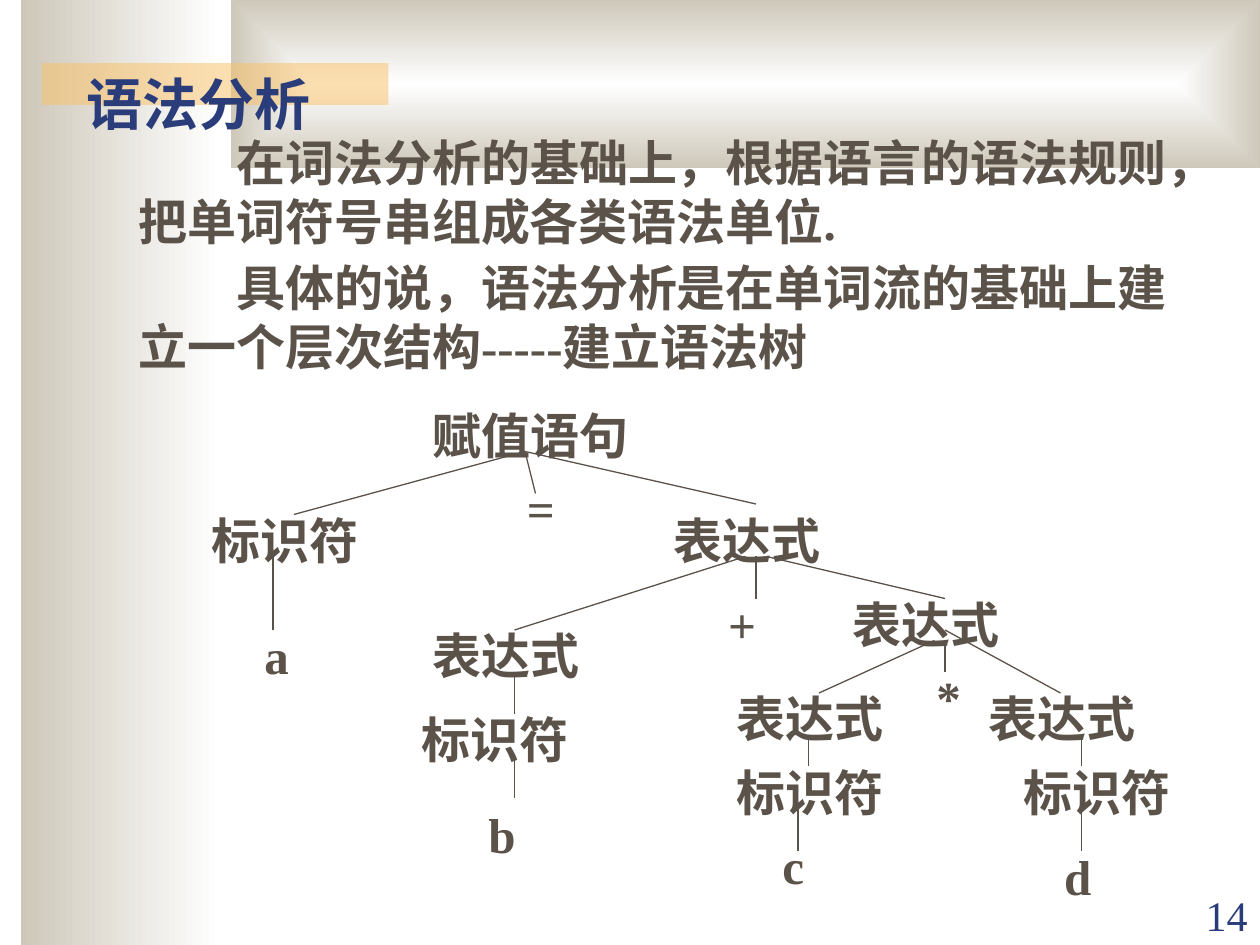
"""Build a slide on syntax analysis with the parse tree of an assignment."""
from lxml.etree import SubElement
from pptx import Presentation
from pptx.dml.color import RGBColor
from pptx.enum.shapes import MSO_CONNECTOR, MSO_SHAPE
from pptx.enum.text import MSO_ANCHOR, MSO_AUTO_SIZE, PP_ALIGN
from pptx.oxml.ns import qn
from pptx.util import Pt

WHITE = RGBColor(0xFF, 0xFF, 0xFF)
BEIGE = RGBColor(0xCE, 0xC8, 0xBA)
AMBER = RGBColor(0xFA, 0xC1, 0x64)
NAVY = RGBColor(0x2A, 0x3D, 0x7A)
BROWN = RGBColor(0x5B, 0x52, 0x49)
FONT = "Times New Roman"
LABEL_HEIGHT = 41

TITLE = "语法分析"
BODY = [
    "在词法分析的基础上，根据语言的语法规则，把单词符号串组成各类语法单位.",
    "具体的说，语法分析是在单词流的基础上建立一个层次结构-----建立语法树",
]
PAGE = "14"

# text, left, top, width, indent
LABELS = [
    ("赋值语句", 240, 228, 144, 0),
    ("标识符", 114, 288, 126, 0),
    ("=", 294, 270, 54, 0),
    ("表达式", 378, 288, 126, 0),
    ("a", 102, 354, 120, 42),
    ("表达式", 240, 354, 120, 0),
    ("标识符", 234, 402, 126, 0),
    ("b", 258, 456, 120, 14),
    ("+", 402, 336, 60, 7),
    ("表达式", 480, 336, 126, 0),
    ("表达式", 414, 390, 120, 0),
    ("*", 528, 378, 48, 0),
    ("标识符", 414, 432, 126, 0),
    ("c", 426, 474, 96, 14),
    ("表达式", 558, 390, 120, 0),
    ("标识符", 564, 432, 126, 14),
    ("d", 594, 480, 72, 7),
]
BRANCHES = [
    (300, 258, 168, 294), (300, 258, 306, 282), (300, 258, 432, 288),
    (156, 318, 156, 360),
    (426, 318, 294, 360), (432, 318, 432, 342), (438, 318, 540, 342),
    (294, 384, 294, 408), (294, 432, 294, 456),
    (534, 366, 468, 396), (540, 366, 540, 384), (540, 360, 606, 396),
    (462, 420, 462, 438), (456, 462, 456, 486),
    (618, 420, 618, 438), (618, 462, 618, 486),
]


def write(sp, texts, box, size=28, color=BROWN, bold=True, align=PP_ALIGN.LEFT,
          anchor=MSO_ANCHOR.TOP, margin=0, indent=0, gap=0):
    sp.left, sp.top, sp.width, sp.height = map(Pt, box)
    tf = sp.text_frame
    tf.word_wrap = True
    tf.auto_size = MSO_AUTO_SIZE.NONE
    tf.vertical_anchor = anchor
    for i, text in enumerate(texts):
        p = tf.add_paragraph() if i else tf.paragraphs[0]
        pPr = p._p.get_or_add_pPr()
        pPr.set("marL", str(Pt(margin)))
        pPr.set("indent", str(Pt(indent)))
        SubElement(pPr, qn("a:buNone"))
        p.alignment = align
        p.space_before = Pt(gap if i else 0)
        r = p.add_run()
        r.text = text
        r.font.name, r.font.size, r.font.bold = FONT, Pt(size), bold
        r.font.color.rgb = color


def add_panel(s, box, color=None):
    sp = s.shapes.add_shape(MSO_SHAPE.RECTANGLE, *map(Pt, box))
    sp.shadow.inherit = False
    sp.line.fill.background()
    if color is not None:
        sp.fill.solid()
        sp.fill.fore_color.rgb = color
        return sp
    sp.fill.gradient()
    sp.fill.gradient_angle = 180
    for stop, rgb in zip(sp.fill.gradient_stops, (WHITE, BEIGE)):
        stop.color.rgb = rgb
    return sp


def add_branch(s, x1, y1, x2, y2):
    line = s.shapes.add_connector(MSO_CONNECTOR.STRAIGHT, Pt(x1), Pt(y1), Pt(x2), Pt(y2))
    line.line.color.rgb = BROWN
    line.line.width = Pt(0.75)
    SubElement(line._element.spPr, qn("a:effectLst"))


def main():
    prs = Presentation()
    prs.slide_width, prs.slide_height = Pt(720), Pt(540)
    s = prs.slides.add_slide(prs.slide_layouts[1])
    title, body = s.placeholders

    add_panel(s, (12, 0, 114, 540))
    banner = add_panel(s, (132, 0, 588, 96))
    grad = banner._element.spPr.find(qn("a:gradFill"))
    grad.remove(grad.find(qn("a:lin")))
    shade = SubElement(grad, qn("a:path"), path="rect")
    SubElement(shade, qn("a:fillToRect"), l="50000", t="50000", r="50000", b="50000")
    accent = add_panel(s, (24, 36, 198, 24), AMBER)
    tint = accent._element.spPr.find(qn("a:solidFill"))[0]
    SubElement(tint, qn("a:alpha"), val="50000")

    for sp in (title, body):
        s.shapes._spTree.append(sp._element)
    write(title, [TITLE], (42, 36, 318, 46), size=32, color=NAVY)
    write(body, BODY, (72, 72, 612, 147), indent=56, gap=4.5)

    for ends in BRANCHES:
        add_branch(s, *ends)
    for text, x, y, w, margin in LABELS:
        box = (x, y, w, LABEL_HEIGHT)
        write(s.shapes.add_textbox(0, 0, 0, 0), [text], box, margin=margin)
    write(s.shapes.add_textbox(0, 0, 0, 0), [PAGE], (648, 504.5, 72, 36), size=24,
          color=NAVY, bold=False, align=PP_ALIGN.RIGHT, anchor=MSO_ANCHOR.BOTTOM)
    prs.save("out.pptx")


if __name__ == "__main__":
    main()
